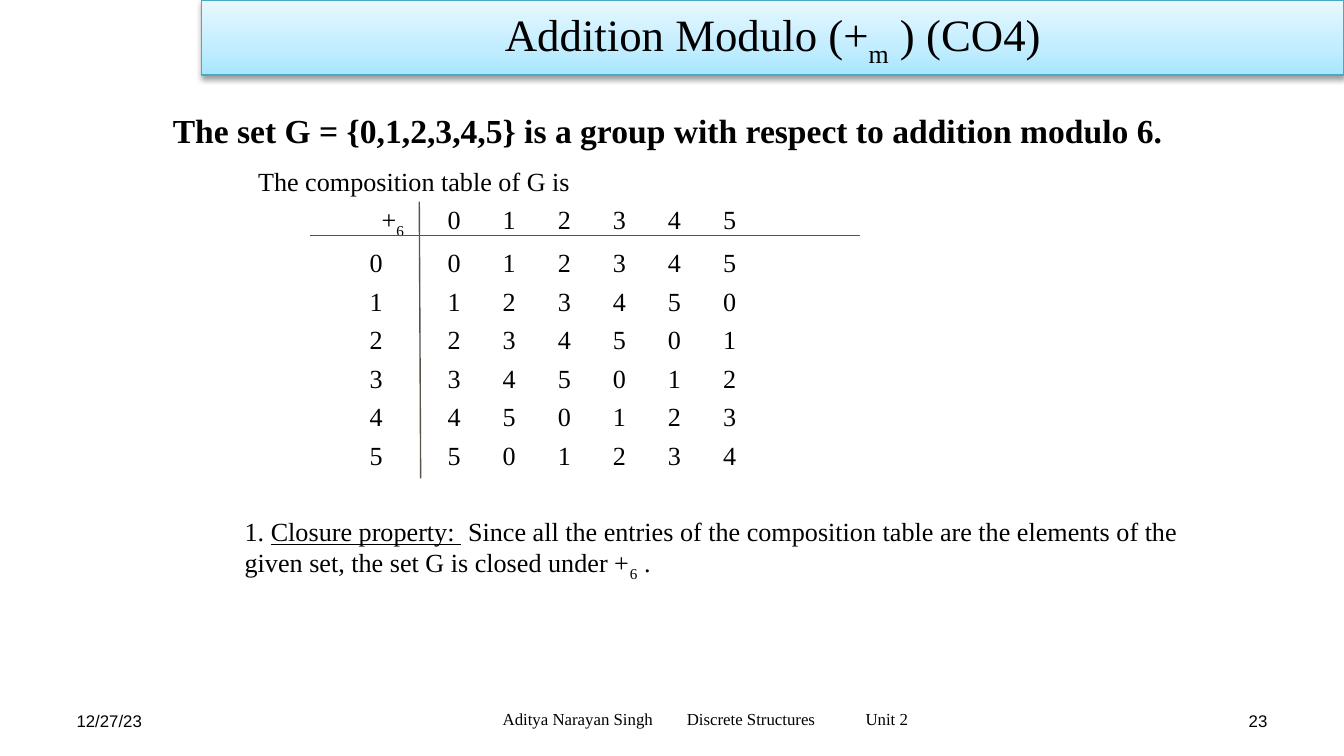
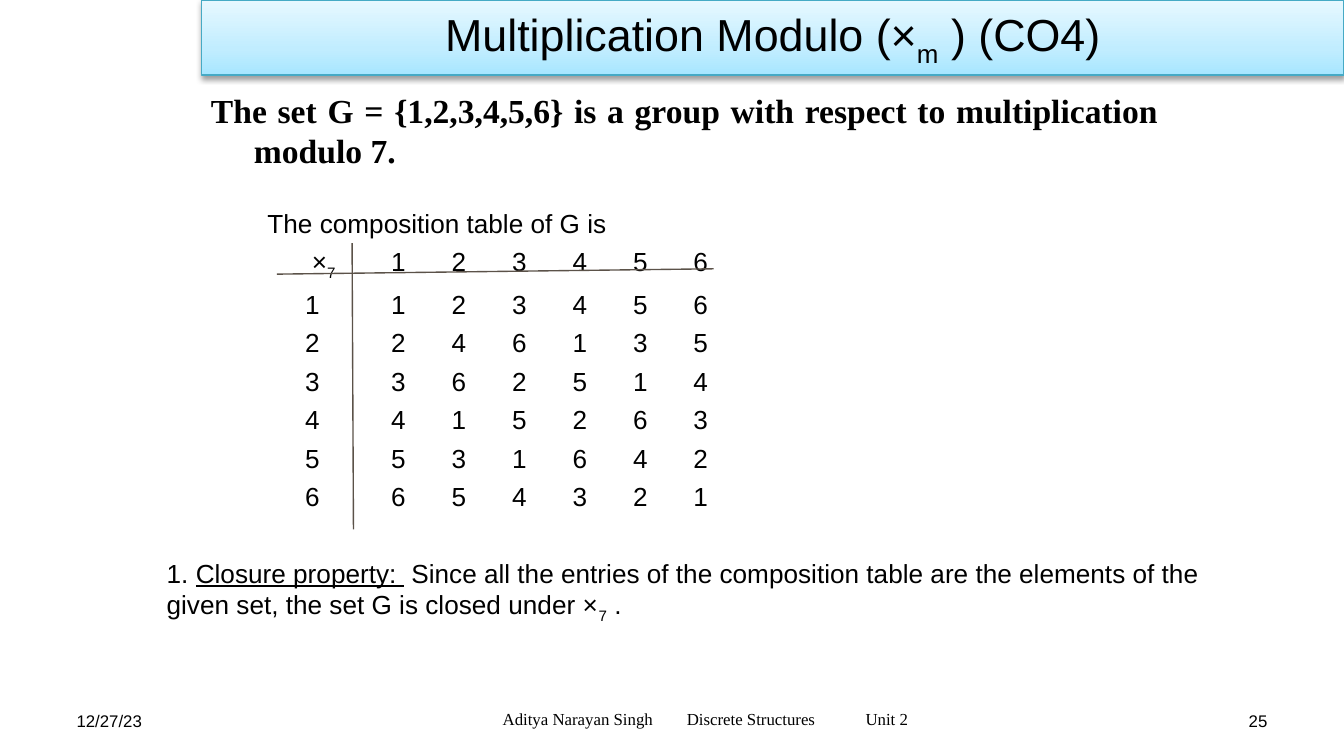
import copy
import pptx
import pptx.util
import pptx.dml.color
import pptx.enum.shapes
import pptx.enum.text
import pptx.oxml
import pptx.oxml.ns
from lxml import etree

Inches, Pt = pptx.util.Inches, pptx.util.Pt
ALIGN = pptx.enum.text.PP_ALIGN
SERIF, SANS = "Times New Roman", "Arial"
COLORS = {
    "text": "000000", "rule": "5B5249", "band_line": "46AAC5",
    "band_low": "A7E6FF", "band_mid": "C1EDFF", "band_high": "E7F8FF",
}
RGB = {name: pptx.dml.color.RGBColor.from_string(code) for name, code in COLORS.items()}
SHADOW = (
    '<a:effectLst %s><a:outerShdw blurRad="39400" dist="20300" dir="5400000" rotWithShape="0">'
    '<a:srgbClr val="000000"><a:alpha val="38000"/></a:srgbClr></a:outerShdw></a:effectLst>'
    % pptx.oxml.ns.nsdecls("a")
)


def set_frame(shape, anchor):
    frame = shape.text_frame
    frame.word_wrap = True
    frame.vertical_anchor = anchor
    frame.margin_left = frame.margin_right = Inches(0.07)
    frame.margin_top = frame.margin_bottom = Inches(0.04)
    return frame


def write(paragraph, runs, font, size, bold=False, align=ALIGN.LEFT, before=0, stops=()):
    """Runs are (text, style) pairs; style is "", "sub" or "under"."""
    paragraph.alignment = align
    paragraph.space_before = Pt(before)
    props = paragraph._p.get_or_add_pPr()
    if stops:
        tab_list = etree.SubElement(props, pptx.oxml.ns.qn("a:tabLst"))
        for stop in stops:
            etree.SubElement(tab_list, pptx.oxml.ns.qn("a:tab"), pos=str(Inches(stop)), algn="l")
    for text, style in runs:
        run = paragraph.add_run()
        run.text = text
        run.font.name, run.font.size, run.font.bold = font, Pt(size), bold
        run.font.color.rgb = RGB["text"]
        if style == "under":
            run.font.underline = True
        if style == "sub":
            run._r.get_or_add_rPr().set("baseline", "-25000")


LESSONS = [
    dict(
        number="23", topic="Addition", sign="+", modulus=6, font=SERIF,
        members=range(6), operate=lambda a, b: (a + b) % 6,
        claim="The set G = {0,1,2,3,4,5} is a group with respect to addition modulo 6. ",
        claim_box=(0.75, 0.5, 8.5, 0.94), claim_align=ALIGN.CENTER,
        claim_hang=0, claim_right=0.07,
        body_box=(1.75, 1.19, 7.38, 3.38), intro_stop=0.1,
        sign_stop=1.02, label_stop=0.93, first_stop=1.51, step=0.41,
        rules=[(3.12, 1.5, 3.13, 3.56), (2.31, 1.75, 6.4, 1.75)],
    ),
    dict(
        number="25", topic="Multiplication", sign="×", modulus=7, font=SANS,
        members=range(1, 7), operate=lambda a, b: a * b % 7,
        claim="The set G = {1,2,3,4,5,6} is a group with respect to multiplication modulo 7.",
        claim_box=(1.5, 0.69, 7.44, 0.56), claim_align=ALIGN.JUSTIFY,
        claim_hang=0.32, claim_right=0.32,
        body_box=(1.17, 1.5, 7.96, 3.38), intro_stop=0.75,
        sign_stop=1.08, label_stop=1.03, first_stop=1.67, step=0.45,
        rules=[(2.62, 1.81, 2.63, 3.94), (2.06, 2.04, 5.31, 2)],
    ),
]
MIDDLE, TOP = pptx.enum.text.MSO_ANCHOR.MIDDLE, pptx.enum.text.MSO_ANCHOR.TOP
ROW_GAP, CLOSURE_GAP = 3.8, 24.2

# 16:9 page
deck = pptx.Presentation()
deck.slide_width, deck.slide_height = Inches(10), Inches(10 * 9 / 16)

for lesson in LESSONS:
    slide = deck.slides.add_slide(deck.slide_layouts[6])
    shapes, font, sign = slide.shapes, lesson["font"], lesson["sign"]
    modulus = str(lesson["modulus"])

    # Footer: date, page number, course
    course = "\tAditya Narayan Singh\tDiscrete Structures\tUnit 2"
    for box, text, face, align, stops in [
        ((0.5, 5.21, 2.33, 0.3), "12/27/23", SANS, ALIGN.LEFT, ()),
        ((7.17, 5.21, 2.33, 0.3), lesson["number"], SANS, ALIGN.RIGHT, ()),
        ((2.5, 5.2, 5.5, 0.3), course, SERIF, ALIGN.LEFT, (1.17, 2.54, 3.87)),
    ]:
        footer = set_frame(shapes.add_textbox(*map(Inches, box)), MIDDLE)
        write(footer.paragraphs[0], [(text, "")], face, 9, align=align, stops=stops)

    # Title band
    band = shapes.add_shape(pptx.enum.shapes.MSO_SHAPE.RECTANGLE,
                            Inches(1.5), 0, Inches(8.5), Inches(0.56))
    band.line.color.rgb = RGB["band_line"]
    band.line.width = Pt(0.75)
    band.fill.gradient()
    band.fill.gradient_angle = 90
    low = band.fill.gradient_stops[0]._gs
    low.addnext(copy.deepcopy(low))
    for stop, position, name in zip(band.fill.gradient_stops, (0, 0.35, 1),
                                    ("band_low", "band_mid", "band_high")):
        stop.position = position
        stop.color.rgb = RGB[name]
    band._element.spPr.append(pptx.oxml.parse_xml(SHADOW))
    write(set_frame(band, MIDDLE).paragraphs[0],
          [(lesson["topic"] + " Modulo (" + sign, ""), ("m", "sub"), (" ) (CO4)", "")],
          font, 24, align=ALIGN.CENTER)

    # Claim about the group
    claim_frame = set_frame(shapes.add_textbox(*map(Inches, lesson["claim_box"])), MIDDLE)
    claim_frame.margin_right = Inches(lesson["claim_right"])
    claim = claim_frame.paragraphs[0]
    write(claim, [(lesson["claim"], "")], SERIF, 18, bold=True, align=lesson["claim_align"])
    if lesson["claim_hang"]:
        hang = Inches(lesson["claim_hang"])
        claim._p.pPr.set("marL", str(hang))
        claim._p.pPr.set("indent", str(-hang))

    # Composition table, one tabbed line per member, then the closure property
    columns = [lesson["first_stop"] + lesson["step"] * i for i in range(6)]
    members = lesson["members"]
    heads = "".join(f"\t{b}" for b in members)
    lines = [
        ([("\tThe composition table of G is", "")], ROW_GAP, [lesson["intro_stop"]]),
        ([("\t" + sign, ""), (modulus, "sub"), (heads, "")], ROW_GAP,
         [lesson["sign_stop"]] + columns),
    ]
    for a in members:
        row = f"\t{a}" + "".join(f"\t{lesson['operate'](a, b)}" for b in members)
        lines.append(([(row, "")], ROW_GAP, [lesson["label_stop"]] + columns))
    lines.append((
        [("1. ", ""), ("Closure property: ", "under"),
         (" Since all the entries of the composition table are the elements of the "
          "given set, the set G is closed under " + sign, ""),
         (modulus, "sub"), (" .", "")], CLOSURE_GAP, ()))
    body = set_frame(shapes.add_textbox(*map(Inches, lesson["body_box"])), TOP)
    for i, (runs, before, stops) in enumerate(lines):
        paragraph = body.add_paragraph() if i else body.paragraphs[0]
        write(paragraph, runs, font, 14, before=before, stops=stops)

    # Table rules
    for ends in lesson["rules"]:
        rule = shapes.add_connector(pptx.enum.shapes.MSO_CONNECTOR.STRAIGHT, *map(Inches, ends))
        rule.line.color.rgb = RGB["rule"]
        rule.line.width = Pt(0.74)
        etree.SubElement(rule._element.spPr, pptx.oxml.ns.qn("a:effectLst"))

deck.save("out.pptx")
